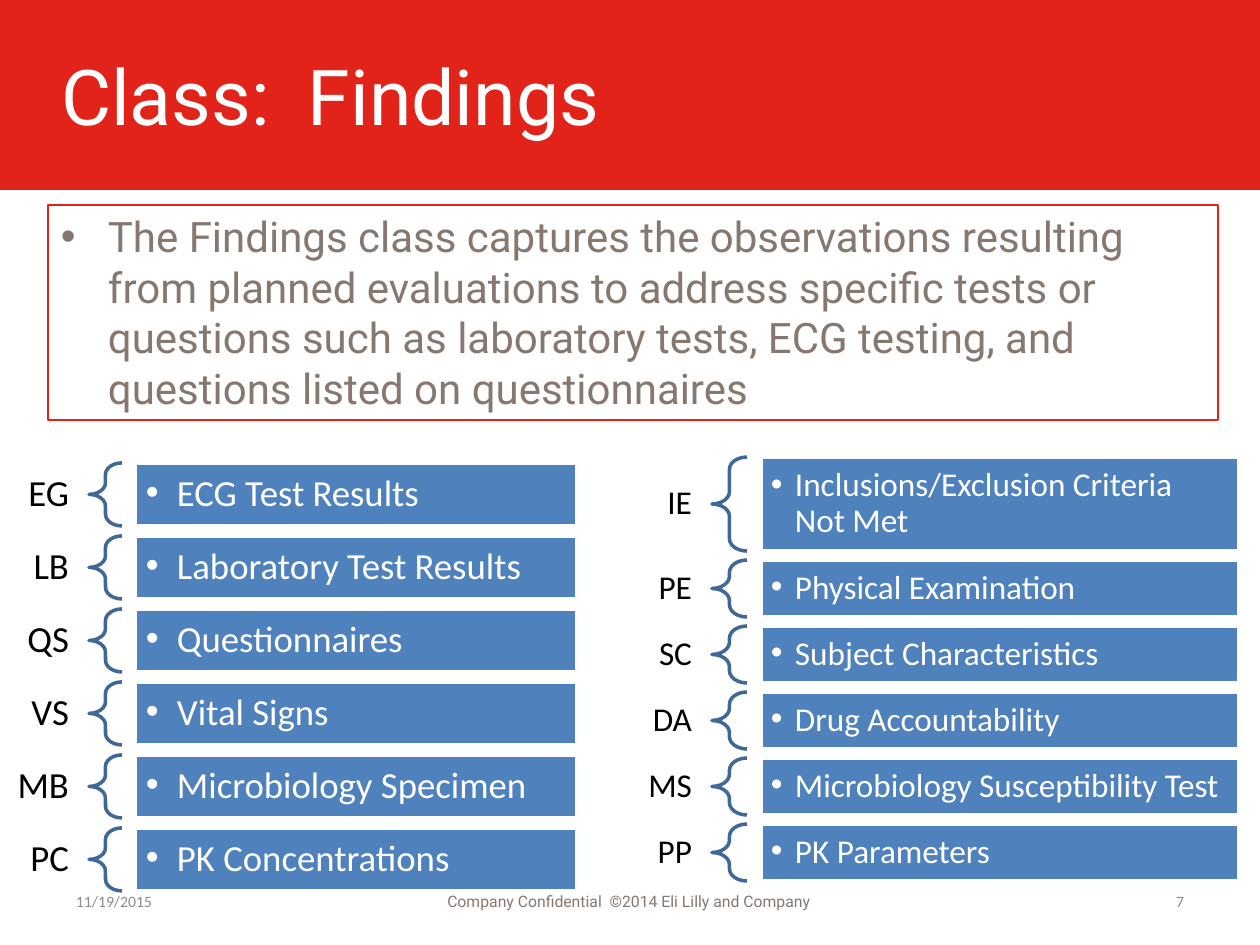
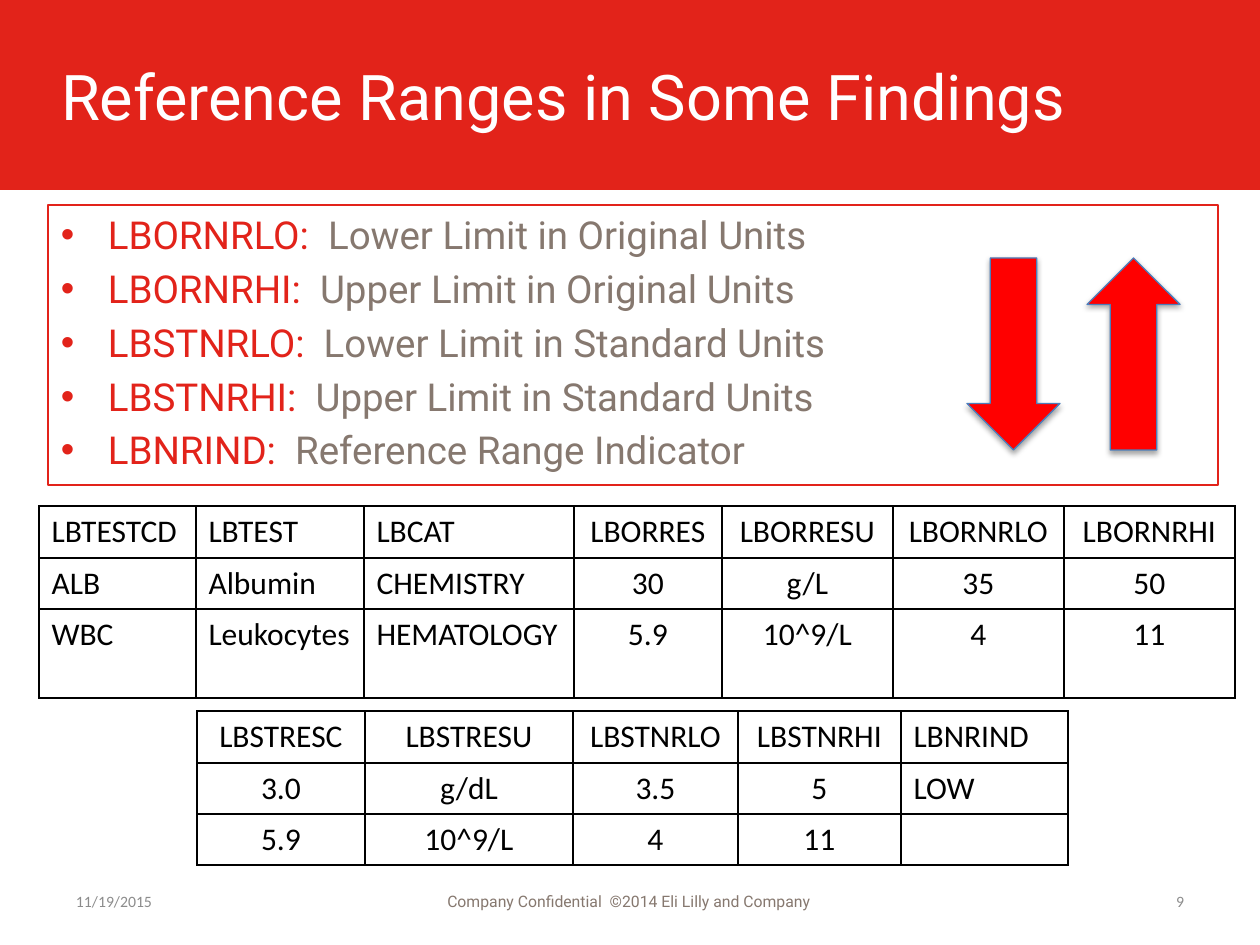
from pptx import Presentation
from pptx.dml.color import RGBColor as Rgb
from pptx.enum.shapes import MSO_SHAPE as Kind
from pptx.enum.text import MSO_ANCHOR as Anchor, MSO_AUTO_SIZE as Fit, PP_ALIGN as Align
from pptx.oxml import parse_xml
from pptx.oxml.ns import nsdecls
from pptx.util import Pt

PX = 914400 / 126
HUES = {key: Rgb.from_string(code) for key, code in {
    "red": "E2231A", "taupe": "86786F", "gray": "8C8C8C", "white": "FFFFFF",
    "black": "000000", "blue": "4F81BD", "brace": "3F6797",
    "arrow": "FF0000", "edge": "4B7EBC"}.items()}


def add(slide, kind, box, fill=None, line=None, width=0.75):
    """Add a shape; box is left, top, width, height in px."""
    shape = slide.shapes.add_shape(kind, *[round(n * PX) for n in box])
    shape.shadow.inherit = False
    if fill:
        shape.fill.solid()
        shape.fill.fore_color.rgb = HUES[fill]
    else:
        shape.fill.background()
    if line:
        shape.line.color.rgb = HUES[line]
        shape.line.width = Pt(width)
    else:
        shape.line.fill.background()
    return shape


def write(frame, rows, size, hue, face="Calibri", align=Align.LEFT,
          anchor=Anchor.MIDDLE, pad=(13, 6), indent=0, gap=0, lead=None):
    """Fill a frame; each row is a list of (text, own hue or None)."""
    frame.word_wrap = True
    frame.auto_size = Fit.NONE
    frame.vertical_anchor = anchor
    frame.margin_left = frame.margin_right = round(pad[0] * PX)
    frame.margin_top = frame.margin_bottom = round(pad[1] * PX)
    for i, row in enumerate(rows):
        para = frame.add_paragraph() if i else frame.paragraphs[0]
        if indent:
            props = para._p.get_or_add_pPr()
            props.set("marL", str(round(indent * PX)))
            props.set("indent", str(-round(indent * PX)))
            for tag in ('buFont {} typeface="Arial"', 'buChar {} char="•"'):
                props.append(parse_xml(f"<a:{tag.format(nsdecls('a'))}/>"))
        para.alignment = align
        para.line_spacing = lead
        if i and gap:
            para.space_before = Pt(gap)
        para.font.size = Pt(size)
        para.font.name = face
        para.font.color.rgb = HUES[hue]
        for text, own in row:
            run = para.add_run()
            run.text = text
            if own:
                run.font.color.rgb = HUES[own]


deck = Presentation()
deck.slide_width, deck.slide_height = round(1260 * PX), round(945 * PX)
layout = deck.slide_layouts[5]

# Title, body box and footers
PAGES = [
    ("Class:  Findings", 44, 24, 215, "taupe", "7", [
        [("The Findings class captures the observations resulting from planned "
          "evaluations to address specific tests or questions such as laboratory "
          "tests, ECG testing, and questions listed on questionnaires", None)]]),
    ("Reference Ranges in Some Findings", 36, 22, 280, "red", "9", [
        [(name + ":  ", None), (text, "taupe")] for name, text in [
            ("LBORNRLO", "Lower Limit in Original Units"),
            ("LBORNRHI", "Upper Limit in Original Units"),
            ("LBSTNRLO", "Lower Limit in Standard Units"),
            ("LBSTNRHI", "Upper Limit in Standard Units"),
            ("LBNRIND", "Reference Range Indicator")]]),
]
slides = []
for title, big, size, height, hue, page, rows in PAGES:
    slide = deck.slides.add_slide(layout)
    if not slides:  # the red band belongs to the layout
        band = add(slide, Kind.RECTANGLE, (0, 0, 1260, 190), "red")
        layout.shapes._spTree.insert(2, band._element)
    slides.append(slide)
    head = slide.shapes.title
    head.left, head.top, head.width, head.height = [
        round(n * PX) for n in (48, 16, 1170, 158)]
    write(head.text_frame, [[(title, None)]], big, "white", "Roboto", pad=(13, 13))
    body = add(slide, Kind.RECTANGLE, (48, 205, 1170, height), line="red")
    write(body.text_frame, rows, size, hue, "Roboto", anchor=Anchor.TOP,
          pad=(13, 6), indent=47, gap=4.4)
    for left, width, text, tint, face, align in [
            (63, 294, "11/19/2015", "gray", "Calibri", Align.LEFT),
            (429, 399, "Company Confidential  ©2014 Eli Lilly and Company",
             "taupe", "Roboto", Align.CENTER),
            (903, 294, page, "gray", "Calibri", Align.RIGHT)]:
        foot = slide.shapes.add_textbox(
            *[round(n * PX) for n in (left, 876, width, 50)])
        write(foot.text_frame, [[(text, None)]], 9, tint, face, align)
first, second = slides

# Domain codes, braces and bars
LISTS = [
    # label left, brace left, brace width, bar left, bar width,
    # top, gap, font size, bullet indent, bar padding, rows
    (0, 89, 33, 135, 442, 463, 10, 21, 31, 11, [
        ("EG", "ECG Test Results", 63),
        ("LB", "Laboratory Test Results", 63),
        ("QS", "Questionnaires", 63),
        ("VS", "Vital Signs", 63),
        ("MB", "Microbiology Specimen", 63),
        ("PC", "PK Concentrations", 63)]),
    (536, 712, 35, 761, 478, 457, 9, 19, 24, 10, [
        ("IE", "Inclusions/Exclusion Criteria Not Met", 94),
        ("PE", "Physical Examination", 57),
        ("SC", "Subject Characteristics", 57),
        ("DA", "Drug Accountability", 57),
        ("MS", "Microbiology Susceptibility Test", 57),
        ("PP", "PK Parameters", 57)]),
]
for left, mid, thin, start, wide, top, gap, size, indent, pad, rows in LISTS:
    for code, text, high in rows:
        label = first.shapes.add_textbox(
            *[round(n * PX) for n in (left, top, mid - left, high)])
        write(label.text_frame, [[(code, None)]], size, "black",
              align=Align.RIGHT, pad=(20, 6), lead=0.9)
        label.text_frame.margin_left = 0  # room for the widest code
        brace = add(first, Kind.LEFT_BRACE, (mid, top, thin, high),
                    line="brace", width=2)
        brace.adjustments[0] = 0.35
        bar = add(first, Kind.RECTANGLE, (start, top, wide, high),
                  "blue", "white", 2)
        write(bar.text_frame, [[(text, None)]], size, "white",
              pad=(pad, pad), indent=indent, lead=0.9)
        top += high + gap

# Lab result tables
L, C = Align.LEFT, Align.CENTER
TABLES = [
    (197, 711, [168, 208, 165, 163, 167], [52, 51, 51], [C, C, C, C, L], [
        ["LBSTRESC", "LBSTRESU", "LBSTNRLO", "LBSTNRHI", "LBNRIND"],
        ["3.0", "g/dL", "3.5", "5", "LOW"],
        ["5.9", "10^9/L", "4", "11", ""]]),
    (39, 506, [157, 168, 210, 148, 171, 171, 171], [52, 51, 89],
     [L, L, L, C, C, C, C], [
        ["LBTESTCD", "LBTEST", "LBCAT", "LBORRES", "LBORRESU", "LBORNRLO", "LBORNRHI"],
        ["ALB", "Albumin", "CHEMISTRY", "30", "g/L", "35", "50"],
        ["WBC", "Leukocytes", "HEMATOLOGY", "5.9", "10^9/L", "4", "11"]]),
]
for left, top, cols, highs, aligns, data in TABLES:
    table = second.shapes.add_table(
        len(highs), len(cols),
        *[round(n * PX) for n in (left, top, sum(cols), sum(highs))]).table
    table.first_row = table.horz_banding = False
    for col, width in zip(table.columns, cols):
        col.width = round(width * PX)
    for r, (row, high) in enumerate(zip(data, highs)):
        table.rows[r].height = round(high * PX)
        for c, text in enumerate(row):
            cell = table.cell(r, c)
            props = cell._tc.get_or_add_tcPr()
            for side in ("lnL", "lnR", "lnT", "lnB"):
                props.append(parse_xml(
                    f'<a:{side} {nsdecls("a")} w="12700"><a:solidFill>'
                    f'<a:srgbClr val="{HUES["black"]}"/></a:solidFill></a:{side}>'))
            cell.fill.background()
            para = cell.text_frame.paragraphs[0]
            para.alignment = aligns[c]
            para.font.size = Pt(18)
            para.font.name = "Calibri"
            para.font.color.rgb = HUES["black"]
            if text:
                para.add_run().text = text

# Up and down arrows with a soft shadow
for kind, left in ((Kind.UP_ARROW, 1087), (Kind.DOWN_ARROW, 967)):
    arrow = add(second, kind, (left, 258, 93, 192), "arrow", "edge")
    props = arrow._element.spPr
    props.remove(props.find("{*}effectLst"))
    props.append(parse_xml(
        f'<a:effectLst {nsdecls("a")}><a:outerShdw blurRad="40000" dist="23000" '
        f'dir="5400000" rotWithShape="0"><a:srgbClr val="{HUES["black"]}">'
        '<a:alpha val="35000"/></a:srgbClr></a:outerShdw></a:effectLst>'))

deck.save("out.pptx")
